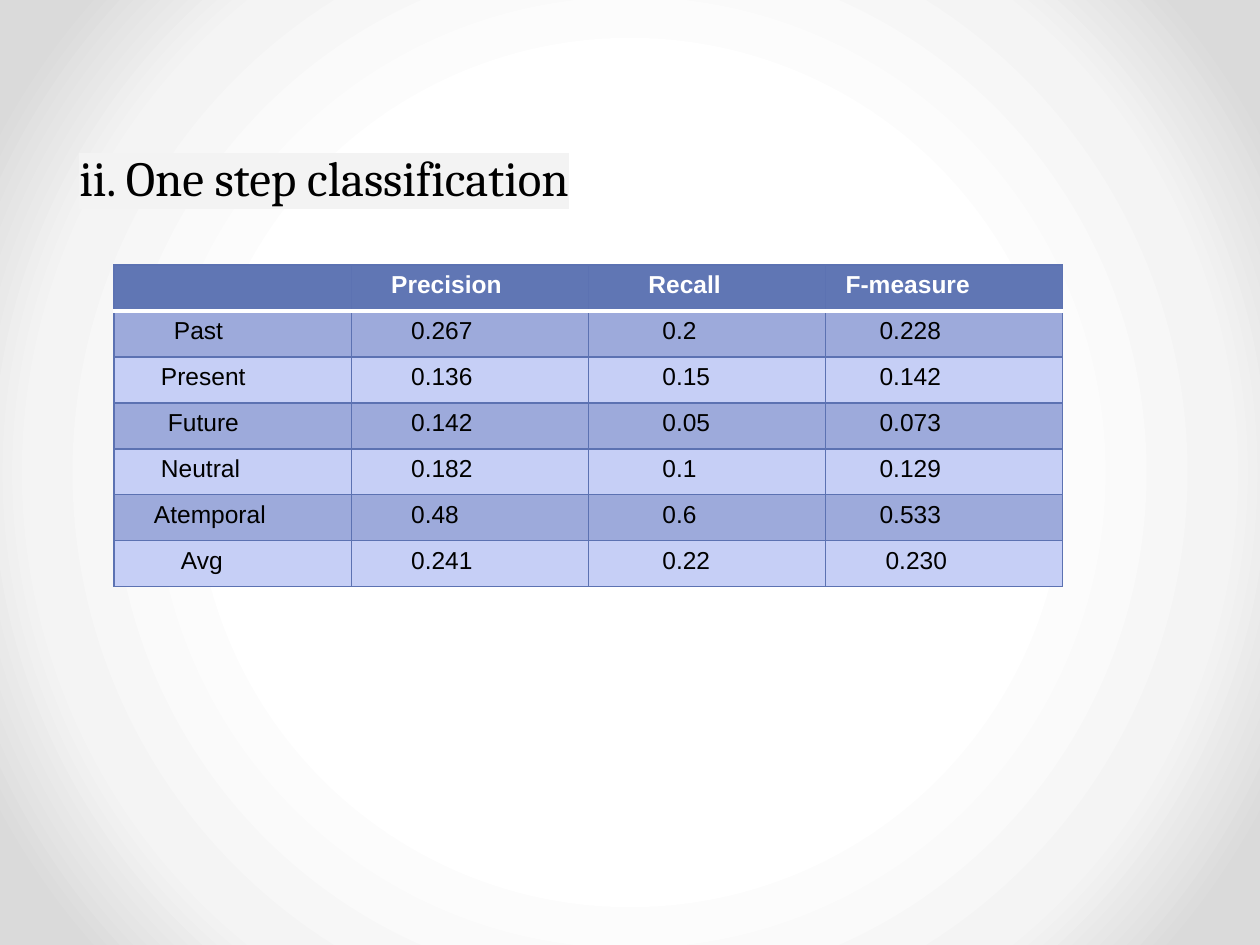
from dataclasses import dataclass

from lxml.etree import SubElement as Sub
from pptx import Presentation
from pptx.dml.color import RGBColor as RGB
from pptx.enum.text import MSO_ANCHOR as Anchor, PP_ALIGN as Align
from pptx.oxml import parse_xml
from pptx.oxml.ns import nsdecls, qn
from pptx.util import Emu, Pt

PX = 914400 / 126


@dataclass(frozen=True)
class Theme:
    """Colours, fonts and type sizes of the slide."""
    backdrop: tuple = ((50, "FFFFFF"), (76, "F4F4F4"), (92, "DADADA"))
    ink: str = "000000"
    white: str = "FFFFFF"
    highlight: str = "F3F3F3"
    header: str = "6076B4"
    bands: tuple = ("9DAADB", "C6CFF6")
    border: str = "5C72B2"
    thin: float = 0.75
    thick: float = 2.25
    title_font: str = "Cambria"
    table_font: str = "Arial"
    title_size: int = 28
    table_size: int = 14


T = Theme()
HEADER = ["", "Precision", "Recall", "F-measure"]
HEADER_INDENTS = [13, 40, 60, 20]
VALUE_INDENTS = [60, 74, 54]
ROWS = [
    ("Past", 60, "0.267", "0.2", "0.228"),
    ("Present", 47, "0.136", "0.15", "0.142"),
    ("Future", 54, "0.142", "0.05", "0.073"),
    ("Neutral", 47, "0.182", "0.1", "0.129"),
    ("Atemporal", 40, "0.48", "0.6", "0.533"),
    ("Avg", 67, "0.241", "0.22", "0.230"),
]


def px(n):
    """Turn pixels into EMU."""
    return Emu(round(n * PX))


def put_text(tf, text, *, font, size, color=T.ink, bold=False,
             align=Align.LEFT, spacing=None, highlight=None):
    """Write one formatted paragraph into a text frame."""
    p = tf.paragraphs[0]
    p.alignment = align
    if spacing:
        p.line_spacing = Pt(spacing)
    r = p.add_run()
    r.text = text
    r.font.name, r.font.size, r.font.bold = font, Pt(size), bold
    r.font.color.rgb = RGB.from_string(color)
    if highlight:
        r.font.fill._xPr.find(qn("a:solidFill")).addnext(parse_xml(
            f'<a:highlight {nsdecls("a")}><a:srgbClr val="{highlight}"/></a:highlight>'))


def draw_border(cell, side, color, width):
    """Draw one side of a table cell."""
    ln = Sub(cell._tc.get_or_add_tcPr(), qn(f"a:ln{side}"), w=str(Pt(width)))
    Sub(Sub(ln, qn("a:solidFill")), qn("a:srgbClr"), val=color)


def add_backdrop(s):
    """Fill the background with a circular gradient."""
    s.background.fill.gradient()
    old = s.element.find(".//" + qn("a:gradFill"))
    stops = "".join(f'<a:gs pos="{pos * 1000}"><a:srgbClr val="{color}"/></a:gs>'
                    for pos, color in T.backdrop)
    old.getparent().replace(old, parse_xml(
        f'<a:gradFill {nsdecls("a")} rotWithShape="1"><a:gsLst>{stops}</a:gsLst>'
        '<a:path path="circle"><a:fillToRect l="50000" t="50000" r="50000" b="50000"/>'
        '</a:path></a:gradFill>'))


def add_title(s, x, y, w, h, text):
    """Place the highlighted title in its box."""
    tf = s.shapes.add_textbox(px(x), px(y), px(w), px(h)).text_frame
    tf.word_wrap = True
    tf.vertical_anchor = Anchor.MIDDLE
    tf.margin_left = tf.margin_right = tf.margin_top = tf.margin_bottom = px(13)
    put_text(tf, text, font=T.title_font, size=T.title_size, align=Align.CENTER,
             spacing=58, highlight=T.highlight)


def style_cell(cell, row, text, indent):
    """Fill, frame and label one table cell."""
    cell.margin_left, cell.margin_right = px(indent), px(13)
    cell.margin_top, cell.margin_bottom = px(6), px(0)
    rule = (T.white, T.thick)
    edge = (T.border, T.thin)
    sides = {"L": edge, "R": edge, "T": rule if row == 1 else edge,
             "B": rule if row == 0 else edge}
    for side, (color, width) in sides.items():
        draw_border(cell, side, color, width)
    cell.fill.solid()
    fill = T.bands[(row - 1) % 2] if row else T.header
    cell.fill.fore_color.rgb = RGB.from_string(fill)
    if text:
        put_text(cell.text_frame, text, font=T.table_font, size=T.table_size,
                 color=T.ink if row else T.white, bold=row == 0)


def add_scores(s, x, y, w, h):
    """Place the table of scores in its box."""
    lines = [(HEADER, HEADER_INDENTS)]
    lines += [((name, *values), (indent, *VALUE_INDENTS))
              for name, indent, *values in ROWS]
    table = s.shapes.add_table(len(lines), len(HEADER), px(x), px(y), px(w), px(h)).table
    table.horz_banding = False
    for i, (texts, indents) in enumerate(lines):
        for j, (text, indent) in enumerate(zip(texts, indents)):
            style_cell(table.cell(i, j), i, text, indent)
    table.cell(len(ROWS), len(HEADER) - 1).margin_left = px(60)


def main():
    """Build and save the slide."""
    prs = Presentation()
    prs.slide_width, prs.slide_height = px(1260), px(945)
    s = prs.slides.add_slide(prs.slide_layouts[6])
    add_backdrop(s)
    add_title(s, 0, 86, 648, 140, "ii. One step classification")
    add_scores(s, 114, 265, 949, 322)
    prs.save("out.pptx")


if __name__ == "__main__":
    main()
